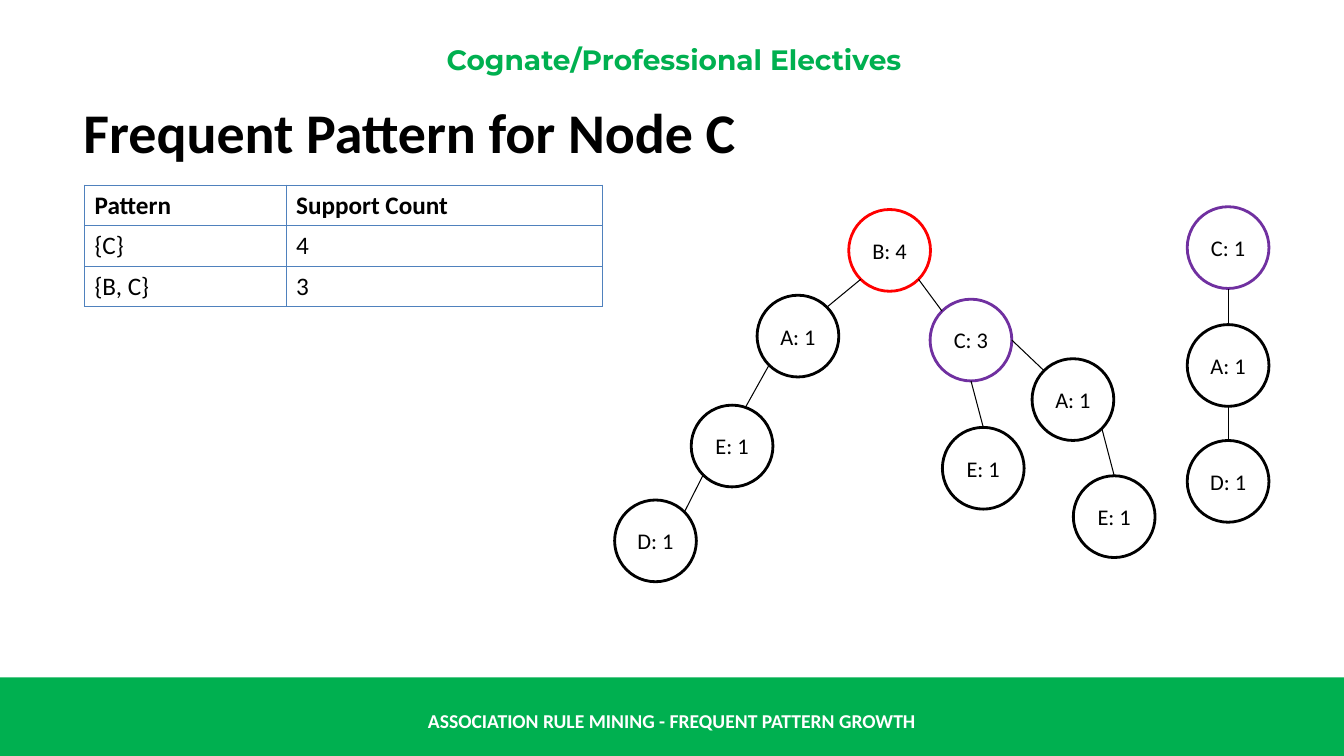
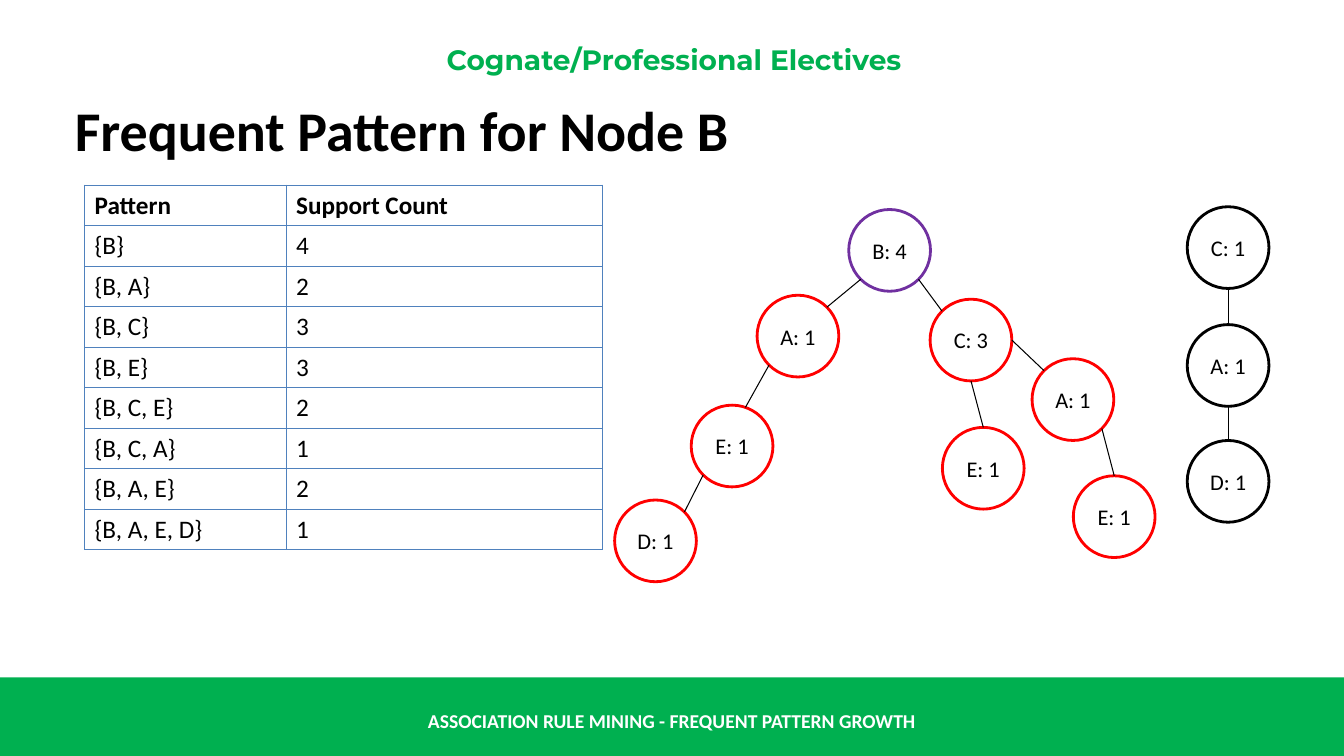
"""Build two slides on frequent patterns with their prefix trees."""
import math
from lxml import etree
from pptx import Presentation, util as u
from pptx.dml.color import RGBColor
from pptx.enum import shapes as es, text as et
from pptx.oxml.ns import qn

BLACK, WHITE, GREEN = "000000", "FFFFFF", "00B050"
RED, PURPLE, BLUE = "FF0000", "7030A0", "4F81BD"
WIDE, HIGH, BALL = 33.87, 19.05, 2.06
BAND = (0, 17.07, WIDE, 1.98)

HEAD = dict(name="Montserrat", size=u.Pt(20), bold=True)
FOOT = dict(name="Calibri", size=u.Pt(14), bold=True)
TITLE = dict(name="Calibri", size=u.Pt(40), bold=True)
CELL = dict(name="Calibri", size=u.Pt(18))
NODE = dict(name="Calibri", size=u.Pt(16), bold=False)

LABELS = [
    ("ASSOCIATION RULE MINING - FREQUENT PATTERN GROWTH",
     (0, 17.65, WIDE, 1.02), FOOT, WHITE),
    ("Cognate/Professional Electives",
     (0.71, 1.07, 32.56, 0.86), HEAD, GREEN),
]

NODES = {
    "b": ("B: 4", 21.39, 5.28),
    "ba": ("A: 1", 19.08, 7.44),
    "bae": ("E: 1", 17.42, 10.21),
    "baed": ("D: 1", 15.49, 12.6),
    "bc": ("C: 3", 23.44, 7.54),
    "bce": ("E: 1", 23.75, 10.77),
    "bca": ("A: 1", 26.01, 9.04),
    "bcae": ("E: 1", 27.05, 11.99),
    "c": ("C: 1", 29.92, 5.21),
    "ca": ("A: 1", 29.92, 8.18),
    "cad": ("D: 1", 29.92, 11.1),
}

# Angles run clockwise from the top of a node.
EDGES = [
    ("b", 225, "ba", 45), ("ba", 225, "bae", 19), ("bae", 225, "baed", 45),
    ("b", 135, "bc", 315), ("bc", 180, "bce", 0), ("bc", 90, "bca", 315),
    ("bca", 135, "bcae", 0), ("c", 180, "ca", 0), ("ca", 180, "cad", 0),
]

COLS = (5.08, 7.98)
TOP = ("Pattern", "Support Count")
SLIDES = [
    dict(title="Frequent Pattern for Node C", at=(1.85, 2.34),
         rows=[("{C}", "4"), ("{B, C}", "3")],
         rings={"b": RED, "bc": PURPLE, "c": PURPLE}),
    dict(title="Frequent Pattern for Node B", at=(1.63, 2.29),
         rows=[("{B}", "4"), ("{B, A}", "2"), ("{B, C}", "3"),
               ("{B, E}", "3"), ("{B, C, E}", "2"), ("{B, C, A}", "1"),
               ("{B, A, E}", "2"), ("{B, A, E, D}", "1")],
         rings={k: RED for k in NODES if k[0] == "b"} | {"b": PURPLE}),
]


def rgb(code):
    """Turn a hex string into a colour."""
    return RGBColor.from_string(code)


def cms(*nums):
    """Turn numbers into centimetre lengths."""
    return [u.Cm(n) for n in nums]


def write(frame, words, style, color=BLACK, align=et.PP_ALIGN.CENTER,
          anchor=et.MSO_ANCHOR.MIDDLE, wrap=True):
    """Fill a text frame with one formatted paragraph."""
    frame.text = words
    frame.word_wrap = wrap
    frame.vertical_anchor = anchor
    para = frame.paragraphs[0]
    para.alignment = align
    for key, val in style.items():
        setattr(para.font, key, val)
    para.font.color.rgb = rgb(color)


def share(slide):
    """Put the band, footer and heading on the layout of a slide."""
    lay = slide.slide_layout
    for hold in list(lay.placeholders):
        if hold.placeholder_format.idx:
            hold._element.getparent().remove(hold._element)
    band = slide.shapes.add_shape(es.MSO_SHAPE.RECTANGLE, *cms(*BAND))
    band.shadow.inherit = False
    band.fill.solid()
    band.fill.fore_color.rgb = rgb(GREEN)
    band.line.fill.background()
    parts = [band]
    for words, box, style, color in LABELS:
        label = slide.shapes.add_textbox(*cms(*box))
        write(label.text_frame, words, style, color)
        parts.append(label)
    for part in parts:
        lay.shapes._spTree.append(part._element)


def edge(cell):
    """Draw thin borders round a table cell."""
    props = cell._tc.get_or_add_tcPr()
    for side in "LRTB":
        line = etree.SubElement(props, qn(f"a:ln{side}"), w=str(u.Pt(1)))
        fill = etree.SubElement(line, qn("a:solidFill"))
        etree.SubElement(fill, qn("a:srgbClr"), val=BLUE)


def grid(slide, rows):
    """Add the table of patterns and counts."""
    rows = [TOP, *rows]
    box = cms(2.13, 4.67, sum(COLS), 1.02 * len(rows))
    table = slide.shapes.add_table(len(rows), len(COLS), *box).table
    table.first_row = table.horz_banding = False
    for col, wide in zip(table.columns, COLS):
        col.width = u.Cm(wide)
    for r, row in enumerate(rows):
        for c, words in enumerate(row):
            cell = table.cell(r, c)
            edge(cell)
            cell.fill.background()
            write(cell.text_frame, words, CELL | dict(bold=r == 0),
                  align=et.PP_ALIGN.LEFT)
            cell.vertical_anchor = et.MSO_ANCHOR.MIDDLE


def rim(key, turn):
    """Find the point on a node at an angle."""
    _, left, top = NODES[key]
    half, arc = BALL / 2, math.radians(turn)
    return cms(left + half + half * math.sin(arc),
               top + half - half * math.cos(arc))


def tree(slide, rings):
    """Add the nodes and the lines that join them."""
    balls = {}
    for key, (words, left, top) in NODES.items():
        ball = slide.shapes.add_shape(es.MSO_SHAPE.OVAL,
                                      *cms(left, top, BALL, BALL))
        ball.shadow.inherit = False
        ball.fill.background()
        ball.line.color.rgb = rgb(rings.get(key, BLACK))
        ball.line.width = u.Pt(2)
        write(ball.text_frame, words, NODE, wrap=False)
        balls[key] = ball
    for one, out, two, into in EDGES:
        line = slide.shapes.add_connector(
            es.MSO_CONNECTOR.STRAIGHT, *rim(one, out), *rim(two, into))
        line.line.color.rgb = rgb(BLACK)
        line.line.width = u.Pt(0.75)
        etree.SubElement(line._element.spPr, qn("a:effectLst"))
        glue = line._element.nvCxnSpPr.cNvCxnSpPr
        for tag, key, turn in (("st", one, out), ("end", two, into)):
            if turn % 45 == 0:
                etree.SubElement(glue, qn(f"a:{tag}Cxn"),
                                 id=str(balls[key].shape_id),
                                 idx=str(-turn // 45 % 8))


def main():
    """Build and save the slides."""
    deck = Presentation()
    deck.slide_width, deck.slide_height = cms(WIDE, HIGH)
    lay = deck.slide_layouts[5]
    for n, data in enumerate(SLIDES):
        slide = deck.slides.add_slide(lay)
        if n == 0:
            share(slide)
        title = slide.shapes.title
        spots = cms(*data["at"], 29.34, 1.96)
        for key, val in zip(("left", "top", "width", "height"), spots):
            setattr(title, key, val)
        write(title.text_frame, data["title"], TITLE,
              align=et.PP_ALIGN.LEFT, anchor=et.MSO_ANCHOR.TOP)
        title.text_frame.auto_size = et.MSO_AUTO_SIZE.SHAPE_TO_FIT_TEXT
        grid(slide, data["rows"])
        tree(slide, data["rings"])
    deck.save("out.pptx")


if __name__ == "__main__":
    main()
